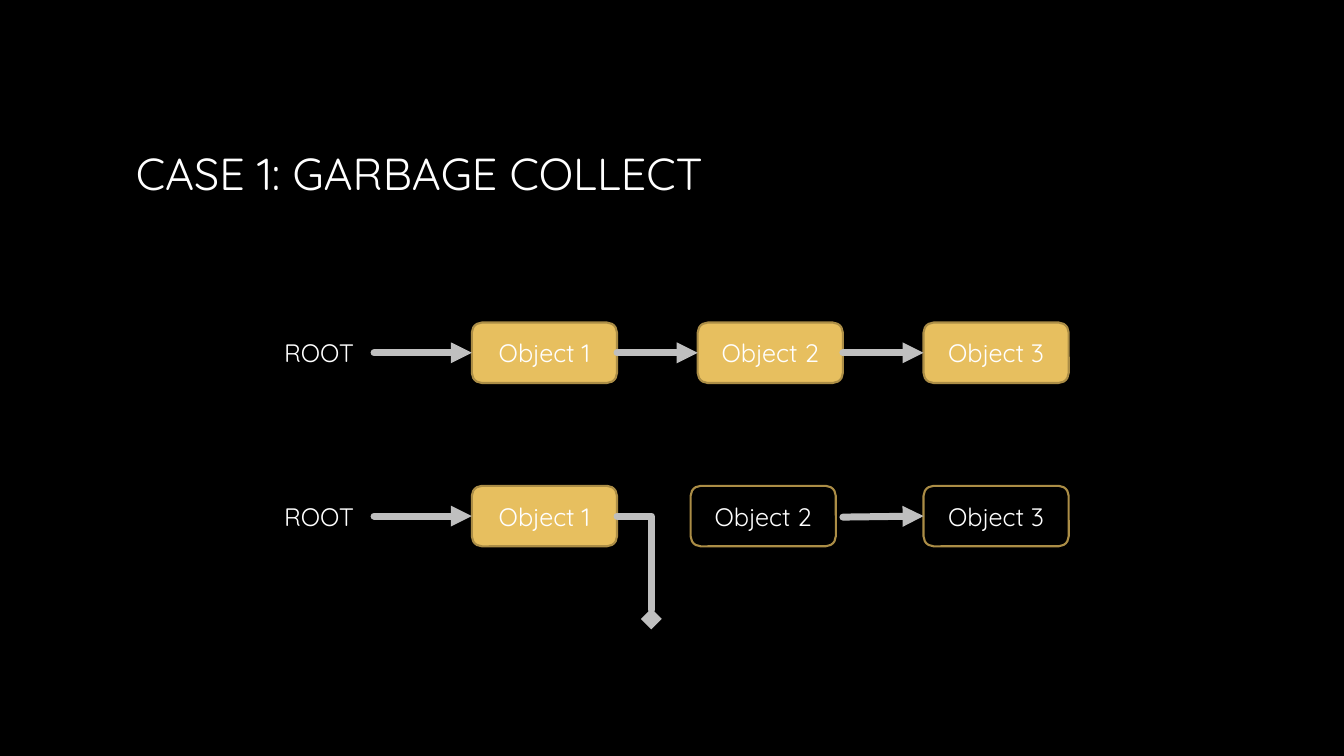
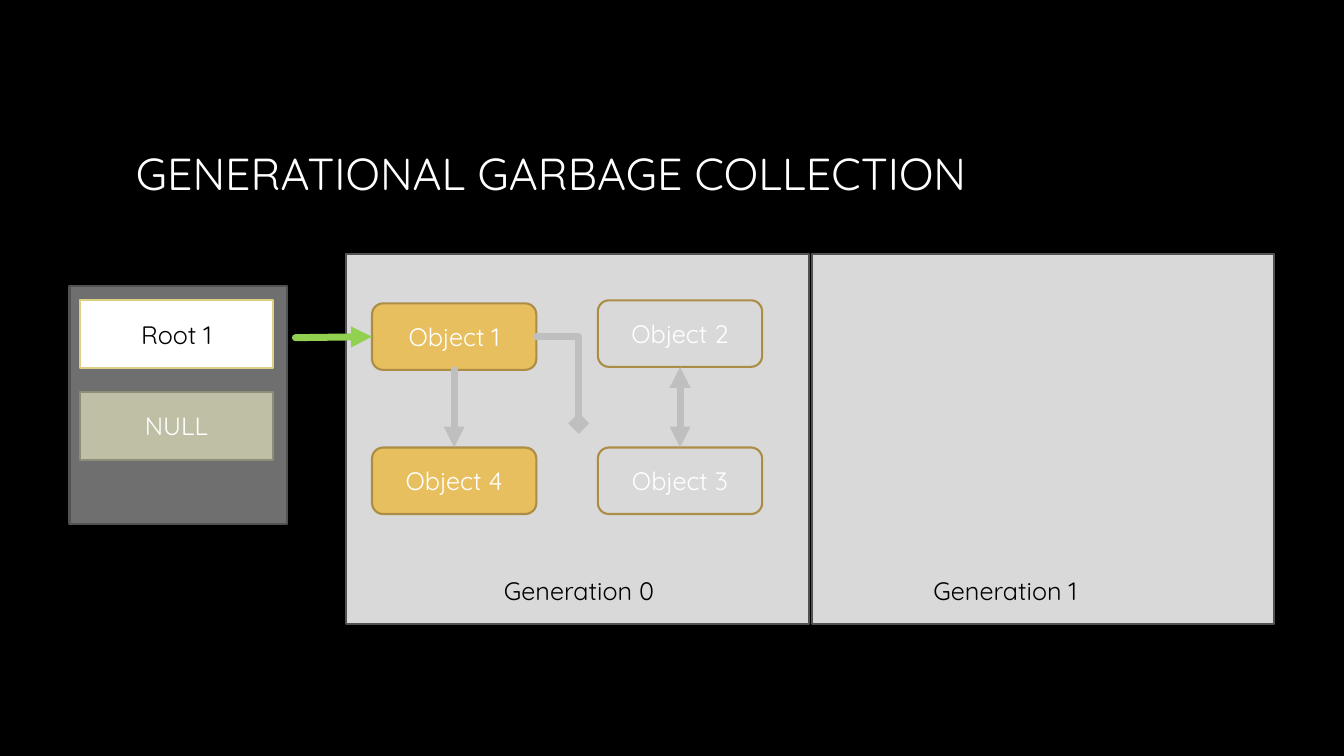
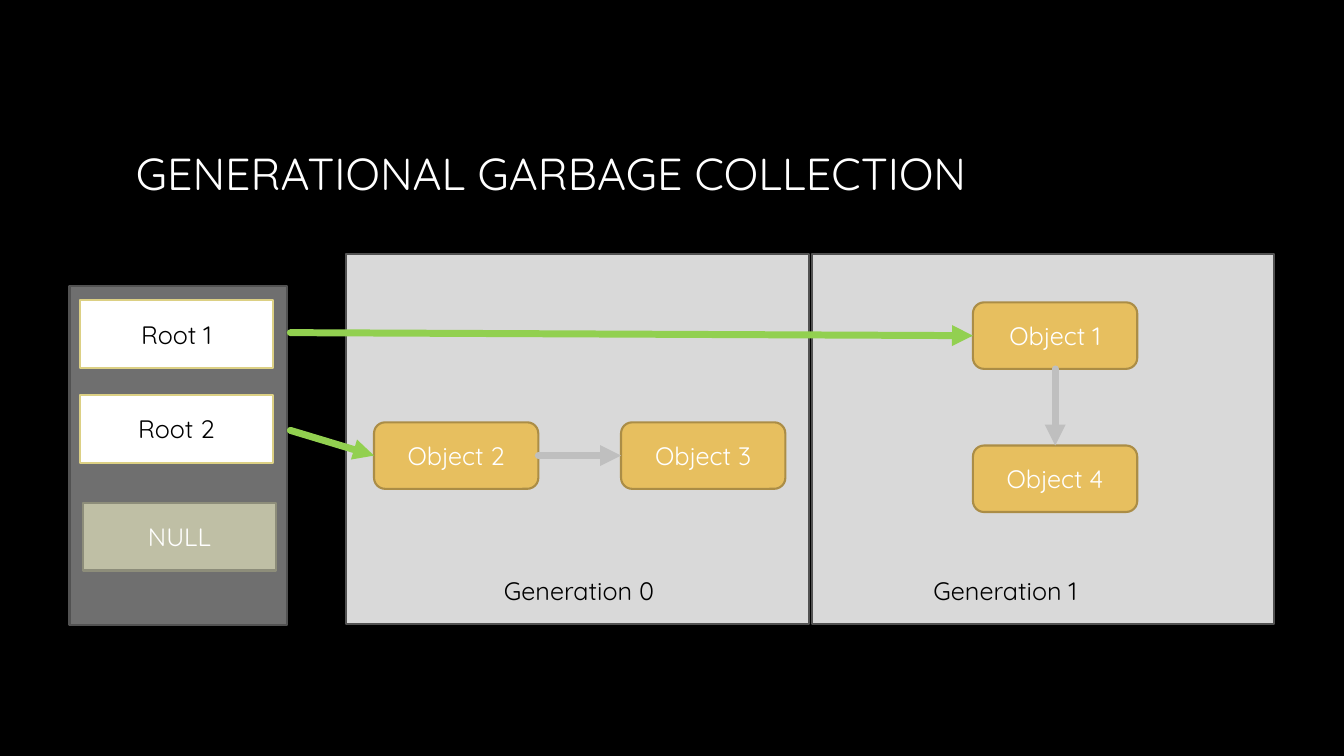
from pptx import Presentation
from pptx.dml.color import RGBColor
from pptx.enum.shapes import MSO_CONNECTOR as Link, MSO_SHAPE as Shape
from pptx.enum.text import MSO_ANCHOR as Anchor, PP_ALIGN as Align
from pptx.oxml.ns import qn
from pptx.util import Inches, Pt
from lxml.etree import SubElement

FONT = "Quicksand"
COLORS = {
    "black": "000000", "white": "FFFFFF", "gold": "E7BF5F", "bronze": "AB8D46",
    "gray": "BFBFBF", "green": "92D050", "pale": "D9D9D9", "edge": "525252",
    "panel": "6F6F6F", "cream": "DCD084", "sage": "BFBFA5", "moss": "8D8D7A",
}
TOP, LEFT, BOTTOM, RIGHT = range(4)
HEAP = (3.43, 2.52, 9.21, 3.67)


def color(name):
    return RGBColor.from_string(COLORS[name])


def write(shape, text, tint, size=18, align=Align.LEFT, anchor=Anchor.TOP):
    frame = shape.text_frame
    frame.word_wrap = True
    frame.vertical_anchor = anchor
    para = frame.paragraphs[0]
    para.text = text
    para.alignment = align
    para.font.name = FONT
    para.font.size = Pt(size)
    para.font.color.rgb = color(tint)


def label(slide, box, text, tint="white", **style):
    write(slide.shapes.add_textbox(*map(Inches, box)), text, tint, **style)


def block(slide, box, fill, line, text="", tint="white", kind=Shape.RECTANGLE):
    shape = slide.shapes.add_shape(kind, *map(Inches, box))
    shape.shadow.inherit = False
    if fill:
        shape.fill.solid()
        shape.fill.fore_color.rgb = color(fill)
    else:
        shape.fill.background()
    shape.line.color.rgb = color(line)
    shape.line.width = Pt(1.5)
    if text:
        write(shape, text, tint, align=Align.CENTER, anchor=Anchor.MIDDLE)
    return shape


def node(slide, box, number, live=True):
    """Draw an object; one that is no longer live is only an outline."""
    return block(slide, box, "gold" if live else None, "bronze",
                 f"Object {number}", kind=Shape.ROUNDED_RECTANGLE)


def arrow(slide, start, end, tint="gray", tail="triangle", head=None, bent=False):
    """Join two ends, each an (x, y) point or a (shape, side) pair."""
    kind = Link.ELBOW if bent else Link.STRAIGHT
    line = slide.shapes.add_connector(kind, 0, 0, 0, 0)
    (line.begin_x, line.begin_y), (line.end_x, line.end_y) = (
        (0, 0) if hasattr(spot[0], "left") else map(Inches, spot)
        for spot in (start, end))
    for spot, join in ((start, line.begin_connect), (end, line.end_connect)):
        if hasattr(spot[0], "left"):
            join(*spot)
    line.line.color.rgb = color(tint)
    line.line.width = Pt(5)
    props = line._element.spPr
    if bent:
        props.find(qn("a:prstGeom")).set("prst", "bentConnector2")
    stroke = props.find(qn("a:ln"))
    stroke.set("cap", "rnd")
    for tag, tip in (("a:headEnd", head), ("a:tailEnd", tail)):
        if tip:
            SubElement(stroke, qn(tag), type=tip)
    SubElement(props, qn("a:effectLst"))


def page(deck, title):
    slide = deck.slides.add_slide(deck.slide_layouts[6])
    label(slide, (1.25, 0.67, 10.83, 2.08), title, size=32, anchor=Anchor.MIDDLE)
    return slide


def chain(slide, x, y, second, live):
    """Draw ROOT and three objects in a row; the last two may be dead."""
    label(slide, (x, y + 0.1, 1.23, 0.4), "ROOT")
    objs = [node(slide, (x + dx, y, 1.44, 0.6), num, live or num == 1)
            for num, dx in enumerate((1.96, second, 6.44), 1)]
    arrow(slide, (x + 0.99, y + 0.3), (objs[0], LEFT))
    if live:
        arrow(slide, (objs[0], RIGHT), (objs[1], LEFT))
        arrow(slide, (objs[1], RIGHT), (objs[2], LEFT))
    else:
        arrow(slide, (objs[0], RIGHT), (x + 3.74, y + 1.32),
              tail="diamond", bent=True)
        arrow(slide, (x + 5.64, y + 0.31), (objs[2], LEFT))


def heap(slide, box):
    x, y, width, height = box
    gap = 0.03
    wide = (width - gap) / 2
    for num, inset in enumerate((1.47, 1.11)):
        left = x + num * (wide + gap)
        block(slide, (left, y, wide, height), "pale", "edge")
        label(slide, (left + inset, y + 3.14, 1.85, 0.4),
              f"Generation {num}", "black")


def roots(slide, box, cells):
    """Draw the root panel; cells are (text, dx, dy) from its corner."""
    x, y = box[:2]
    block(slide, box, "panel", "edge")
    for text, dx, dy in cells:
        look = (("sage", "moss", text, "white") if text == "NULL"
                else ("white", "cream", text, "black"))
        block(slide, (x + dx, y + dy, 1.92, 0.67), *look)


def nodes(slide, box, spots):
    """Place objects from {number: (dx, dy, live)}, relative to the box."""
    x, y = box[:2]
    return {num: node(slide, (x + dx, y + dy, 1.63, 0.66), num, live)
            for num, (dx, dy, live) in spots.items()}


def collect(deck):
    slide = page(deck, "CASE 1: GARBAGE COLLECT")
    chain(slide, 2.72, 3.2, 4.2, True)
    chain(slide, 2.72, 4.82, 4.13, False)


def young(deck, title):
    slide = page(deck, title)
    heap(slide, HEAP)
    roots(slide, (0.69, 2.84, 2.16, 2.36),
          [("Root 1", 0.1, 0.14), ("NULL", 0.1, 1.05)])
    objs = nodes(slide, HEAP, {
        1: (0.26, 0.49, True), 2: (2.5, 0.46, False),
        3: (2.5, 1.92, False), 4: (0.26, 1.92, True)})
    arrow(slide, (2.93, 3.35), (objs[1], LEFT), "green")
    arrow(slide, (objs[1], BOTTOM), (objs[4], TOP))
    arrow(slide, (objs[2], BOTTOM), (objs[3], TOP), head="triangle")
    arrow(slide, (objs[1], RIGHT), (5.74, 4.2), tail="diamond", bent=True)


def promoted(deck, title):
    slide = page(deck, title)
    heap(slide, HEAP)
    roots(slide, (0.69, 2.84, 2.16, 3.36),
          [("Root 1", 0.1, 0.14), ("Root 2", 0.1, 1.08), ("NULL", 0.13, 2.15)])
    objs = nodes(slide, HEAP, {
        1: (6.22, 0.48, True), 2: (0.28, 1.67, True),
        3: (2.73, 1.67, True), 4: (6.22, 1.9, True)})
    arrow(slide, (2.88, 3.3), (objs[1], LEFT), "green")
    arrow(slide, (2.88, 4.27), (objs[2], LEFT), "green")
    arrow(slide, (objs[1], BOTTOM), (objs[4], TOP))
    arrow(slide, (objs[2], RIGHT), (objs[3], LEFT))


def main():
    deck = Presentation()
    deck.slide_width, deck.slide_height = Inches(13.33), Inches(7.5)
    back = deck.slide_master.background.fill
    back.solid()
    back.fore_color.rgb = color("black")
    title = "GENERATIONAL GARBAGE COLLECTION"
    collect(deck)
    young(deck, title)
    promoted(deck, title)
    deck.save("out.pptx")


if __name__ == "__main__":
    main()
